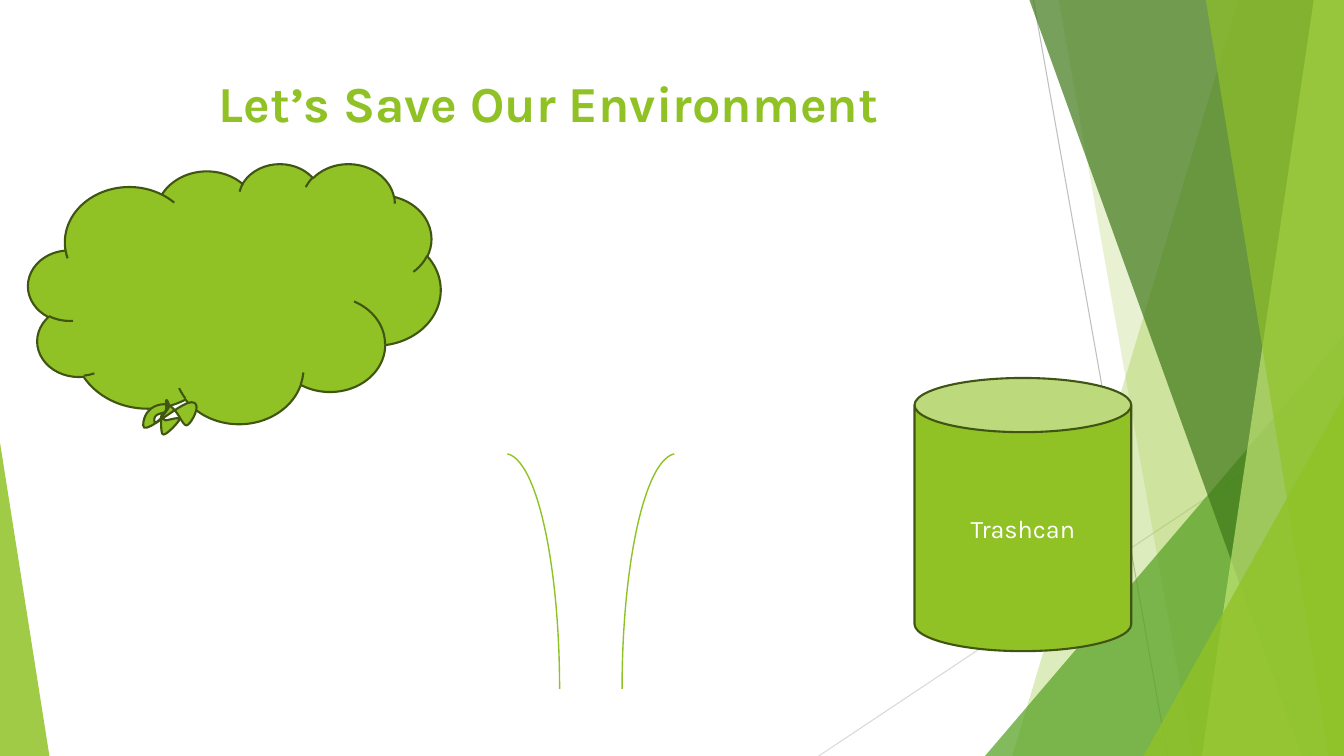
from lxml import etree
from pptx import Presentation
from pptx.dml.color import RGBColor
from pptx.enum import shapes, text
from pptx.oxml.ns import qn
from pptx.util import Inches, Pt

# Content
TITLE = "Let’s Save Our Environment"
CAN_LABEL = "Trashcan"
FONT = "Karla"
WIDTH, HEIGHT = 13.33, 7.5
COLORS = {
    "green": "90C226", "leaf": "54A021", "forest": "3F7819", "lime": "C0E474",
    "outline": "3F5511", "white": "FFFFFF", "gray": "BFBFBF", "pale": "D9D9D9",
}
# Thin background lines: start, end, colour
RAYS = [((10.25, 0), (11.58, HEIGHT), "gray"), ((WIDTH, 4.03), (8.12, HEIGHT), "pale")]
# Bands reach the right edge: top left x, bottom left x, colour, opacity
# Triangles stand on the bottom edge: left, top, width, apex, colour, opacity
BACKDROP = [
    ("band", 12.28, 10.04, "green", 30),
    ("band", 10.5, 11.83, "green", 20),
    ("triangle", 9.77, 3.33, 3.56, 1, "leaf", 72),
    ("band", 10.21, 12.91, "forest", 70),
    ("band", 13.03, 11.92, "lime", 70),
    ("band", 11.96, 13.18, "green", 65),
    ("triangle", 11.34, 3.93, 1.99, 1, "green", 80),
    ("triangle", 0, 4.39, 0.49, 0, "green", 85),
]
CLOUD = (0.28, 1.62, 4.09, 2.58)
# Each leaf is a closed chain of cubic curves: start, then control, control, end
LEAVES = [
    [(1.78, 4.16), (1.78, 4.18), (1.65, 4.32), (1.62, 4.31), (1.59, 4.31), (1.6, 4.16),
     (1.6, 4.12), (1.6, 4.08), (1.61, 4.16), (1.64, 4.17), (1.67, 4.17), (1.78, 4.13),
     (1.78, 4.16)],
    [(1.65, 3.97), (1.65, 3.96), (1.69, 4.01), (1.67, 4.05), (1.65, 4.08), (1.53, 4.25),
     (1.53, 4.17), (1.53, 4.09), (1.62, 4.11), (1.64, 4.08), (1.66, 4.04), (1.64, 3.97),
     (1.65, 3.97)],
    [(1.85, 4.22), (1.89, 4.22), (2.02, 3.99), (1.9, 3.99), (1.78, 3.99), (1.42, 4.34),
     (1.42, 4.22), (1.42, 4.1), (1.51, 4.01), (1.63, 4.01), (1.75, 4.01), (1.8, 4.22),
     (1.85, 4.22)],
]
CURVE_STEPS = 10
CAN = (9.07, 3.75, 2.15, 2.71)
# Trunk sides: left, mirrored
TRUNK_SIDES = [(4.46, False), (6.17, True)]
TRUNK_TOP, TRUNK_WIDTH, TRUNK_HEIGHT = 4.5, 1.09, 4.67
ARC_START = 162.41


def color(name):
    return RGBColor.from_string(COLORS[name])


def paint(shape, fill=None, opacity=100, line=None, line_width=1.5):
    shape.shadow.inherit = False
    if fill:
        shape.fill.solid()
        shape.fill.fore_color.rgb = color(fill)
        if opacity < 100:
            tint = shape.fill._xPr.find(qn("a:solidFill"))[0]
            etree.SubElement(tint, qn("a:alpha"), val=str(opacity * 1000))
    else:
        shape.fill.background()
    if line:
        shape.line.color.rgb = color(line)
        shape.line.width = Pt(line_width)
    else:
        shape.line.fill.background()


def add_preset(slide, kind, box):
    return slide.shapes.add_shape(kind, *(Inches(length) for length in box))


def add_outline(slide, contours):
    contours = [[(Inches(x), Inches(y)) for x, y in contour] for contour in contours]
    builder = slide.shapes.build_freeform(*contours[0][0])
    for number, contour in enumerate(contours):
        if number:
            builder.move_to(*contour[0])
        builder.add_line_segments(contour[1:], close=True)
    return builder.convert_to_shape()


def curve_points(chain):
    points = [chain[0]]
    for first in range(0, len(chain) - 1, 3):
        controls = chain[first:first + 4]
        for step in range(1, CURVE_STEPS + 1):
            t = step / CURVE_STEPS
            weights = ((1 - t) ** 3, 3 * t * (1 - t) ** 2, 3 * t * t * (1 - t), t ** 3)
            points.append(tuple(
                sum(weight * point[axis] for weight, point in zip(weights, controls))
                for axis in (0, 1)))
    return points


def write(frame, words, size, tint, bold=False):
    paragraph = frame.paragraphs[0]
    paragraph.alignment = text.PP_ALIGN.CENTER
    run = paragraph.add_run()
    run.text = words
    run.font.name = FONT
    run.font.size = Pt(size)
    run.font.bold = bold
    run.font.color.rgb = color(tint)


def add_backdrop(slide):
    for start, end, tint in RAYS:
        ray = slide.shapes.add_connector(
            shapes.MSO_CONNECTOR.STRAIGHT, *(Inches(value) for value in start + end))
        ray.line.color.rgb = color(tint)
        ray.line.width = Pt(0.75)
        etree.SubElement(ray._element.spPr, qn("a:effectLst"))
    for kind, *place, tint, opacity in BACKDROP:
        if kind == "band":
            top_x, bottom_x = place
            part = add_outline(slide, [[
                (top_x, 0), (WIDTH, 0), (WIDTH, HEIGHT), (bottom_x, HEIGHT)]])
        else:
            left, top, width, apex = place
            part = add_preset(slide, shapes.MSO_SHAPE.ISOSCELES_TRIANGLE,
                              (left, top, width, HEIGHT - top))
            part.adjustments[0] = apex
        paint(part, tint, opacity)


def main():
    presentation = Presentation()
    presentation.slide_width = Inches(WIDTH)
    presentation.slide_height = Inches(HEIGHT)
    slide = presentation.slides.add_slide(presentation.slide_layouts[5])
    add_backdrop(slide)

    # Title, in front of the backdrop
    title = slide.shapes.title
    title.left, title.top = Inches(0.74), Inches(0.67)
    title.width, title.height = Inches(9.4), Inches(1.44)
    title.text_frame.vertical_anchor = text.MSO_ANCHOR.TOP
    title.text_frame.word_wrap = True
    write(title.text_frame, TITLE, 36, "green", bold=True)
    slide.shapes._spTree.append(title._element)

    # Tree crown with leaves
    cloud = add_preset(slide, shapes.MSO_SHAPE.CLOUD, CLOUD)
    leaves = add_outline(slide, [curve_points(leaf) for leaf in LEAVES])
    for part in (cloud, leaves):
        paint(part, "green", line="outline")

    # Trashcan
    can = add_preset(slide, shapes.MSO_SHAPE.CAN, CAN)
    paint(can, "green", line="outline")
    can.text_frame.vertical_anchor = text.MSO_ANCHOR.MIDDLE
    write(can.text_frame, CAN_LABEL, 18, "white")

    # Tree trunk
    for left, mirrored in TRUNK_SIDES:
        side = add_preset(slide, shapes.MSO_SHAPE.ARC,
                          (left, TRUNK_TOP, TRUNK_WIDTH, TRUNK_HEIGHT))
        side.adjustments[0] = ARC_START
        side.adjustments[1] = 0
        paint(side, line="green", line_width=1)
        if mirrored:
            side._element.spPr.xfrm.set("flipH", "1")

    presentation.save("out.pptx")


if __name__ == "__main__":
    main()
